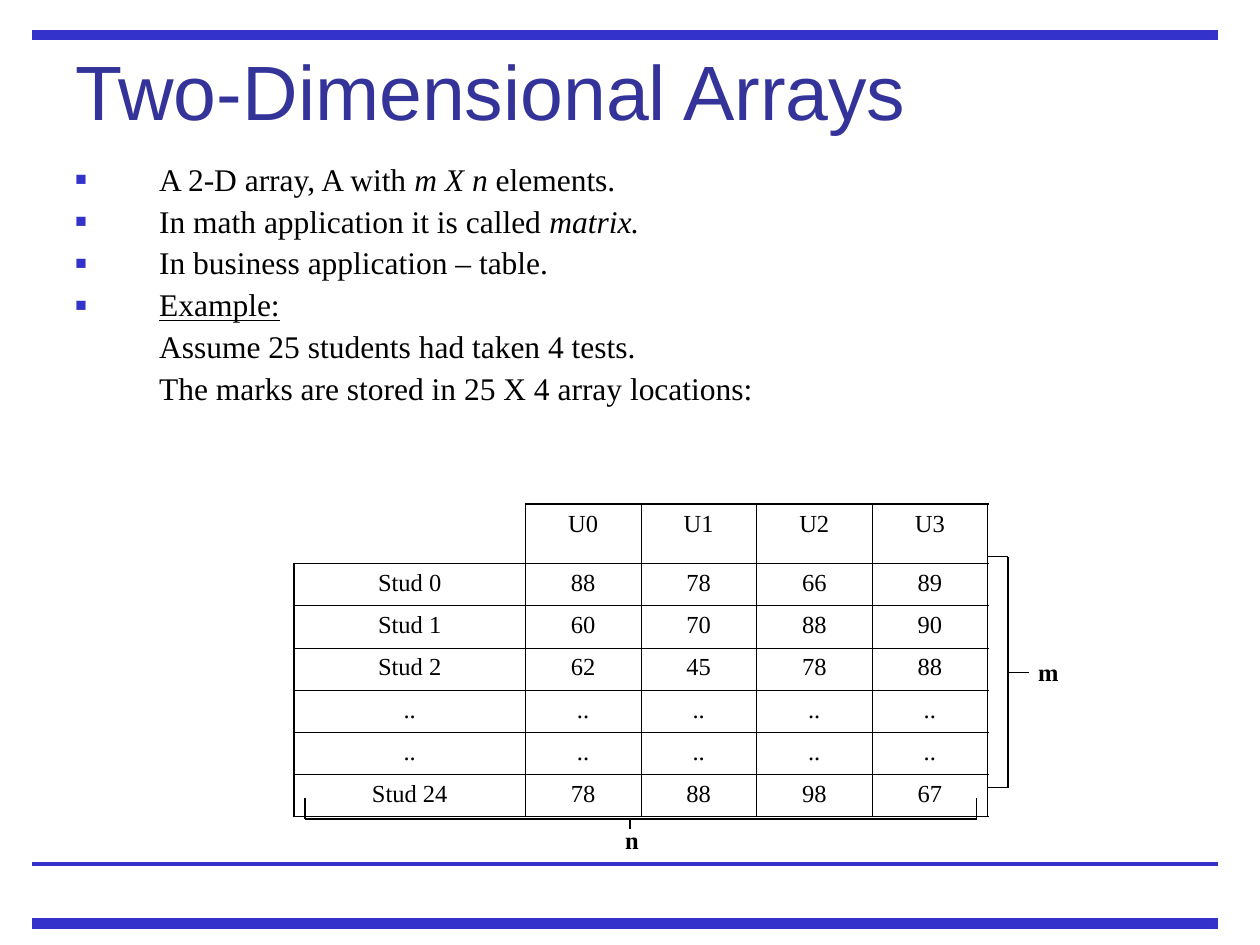
"""Build the "Two-Dimensional Arrays" slide with its table of marks."""
import pptx
import pptx.dml.color
import pptx.enum.shapes
import pptx.enum.text
import pptx.oxml
import pptx.oxml.ns
import pptx.util
from pptx.util import Cm

THEME = {
    "rule": "3333CC", "title": "333399", "ink": "000000",
    "heading_font": "Arial", "body_font": "Times New Roman",
    "title_size": 44, "body_size": 18, "label_size": 14,
    "heavy": 6, "medium": 2.25, "fine": 0.75, "cell": 0.45, "frame": 1.08,
}
ALIGN = pptx.enum.text.PP_ALIGN

TITLE = "Two-Dimensional Arrays"
BULLETS = [
    [("A 2-D array, A with ", ""), ("m X n", "italic"), (" elements.", "")],
    [("In math application it is called ", ""), ("matrix.", "italic")],
    [("In business application – table.", "")],
    [("Example:", "underline")],
]
EXAMPLE = [
    [("Assume 25 students had taken 4 tests.", "")],
    [("The marks are stored in 25 X 4 array locations:", "")],
]
MARKS = [
    ["", "U0", "U1", "U2", "U3"],
    ["Stud 0", "88", "78", "66", "89"],
    ["Stud 1", "60", "70", "88", "90"],
    ["Stud 2", "62", "45", "78", "88"],
    ["..", "..", "..", "..", ".."],
    ["..", "..", "..", "..", ".."],
    ["Stud 24", "78", "88", "98", "67"],
]
LABELS = [("n", 12.34, 16.51, 0.79), ("m", 20.68, 13.13, 0.91)]
RULES = [(18.62, "heavy"), (17.42, "medium"), (0.71, "heavy")]
BRACKETS = [
    (6.15, 16.08, 6.15, 16.51), (19.69, 16.08, 19.69, 16.51),
    (6.15, 16.51, 19.69, 16.51), (12.7, 16.51, 12.7, 16.72),
    (19.9, 11.22, 20.32, 11.22), (19.9, 15.88, 20.32, 15.88),
    (20.32, 11.22, 20.32, 15.88), (20.32, 13.55, 20.74, 13.55),
]


def write(frame, lines, font="body_font", size="body_size", color="ink",
          align=ALIGN.LEFT, bold=False, spacing=None, before=0):
    """Fill a text frame with lines of (text, style) spans and return its paragraphs."""
    for index, line in enumerate(lines):
        para = frame.add_paragraph() if index else frame.paragraphs[0]
        para.alignment = align
        if spacing:
            para.line_spacing = spacing
        if index and before:
            para.space_before = pptx.util.Pt(before)
        for text, style in line:
            span = para.add_run()
            span.text = text
            span.font.name = THEME[font]
            span.font.size = pptx.util.Pt(THEME[size])
            span.font.color.rgb = pptx.dml.color.RGBColor.from_string(THEME[color])
            span.font.bold = bold
            span.font.italic = style == "italic"
            span.font.underline = style == "underline"
    return frame.paragraphs


def add_xml(parent, xml, index=None):
    """Put a DrawingML element into a parent, at the end unless an index is given."""
    head, tail = xml.split(" ", 1)
    element = pptx.oxml.parse_xml(f"{head} {pptx.oxml.ns.nsdecls('a')} {tail}")
    parent.insert(len(parent) if index is None else index, element)


def draw_line(slide, ends, color, width):
    """Draw a straight line between two points given in centimetres."""
    line = slide.shapes.add_connector(
        pptx.enum.shapes.MSO_CONNECTOR.STRAIGHT, *map(Cm, ends))
    line.line.color.rgb = pptx.dml.color.RGBColor.from_string(THEME[color])
    line.line.width = pptx.util.Pt(THEME[width])
    add_xml(line._element.spPr, "<a:effectLst />")


def add_title(slide):
    """Place and format the title placeholder."""
    title = slide.shapes.title
    title.left, title.top, title.width, title.height = map(Cm, (1.27, 0.76, 22.86, 3.18))
    frame = title.text_frame
    frame.vertical_anchor = pptx.enum.text.MSO_ANCHOR.TOP
    frame.auto_size = pptx.enum.text.MSO_AUTO_SIZE.NONE
    write(frame, [[(TITLE, "")]], font="heading_font", size="title_size", color="title")


def add_body(slide):
    """Add the bulleted points followed by the plain example lines."""
    box = slide.shapes.add_textbox(*map(Cm, (1.27, 3.18, 22.86, 7.42)))
    box.text_frame.word_wrap = True
    paras = write(box.text_frame, BULLETS + EXAMPLE, align=ALIGN.JUSTIFY,
                  spacing=0.9, before=4.5)
    for index, para in enumerate(paras):
        properties = para._p.get_or_add_pPr()
        properties.set("marL", str(Cm(1.69)))
        if index < len(BULLETS):
            properties.set("indent", str(-Cm(1.69)))
            add_xml(properties, f'<a:buClr ><a:srgbClr val="{THEME["rule"]}"/></a:buClr>')
            add_xml(properties, '<a:buSzPct val="60000"/>')
            add_xml(properties, f'<a:buFont typeface="{THEME["body_font"]}"/>')
            add_xml(properties, '<a:buChar char="■"/>')
        else:
            properties.set("indent", "0")
            add_xml(properties, "<a:buNone />")


def set_borders(cell, widths):
    """Draw the left, right, top and bottom borders; a width of None hides one."""
    for index, (side, width) in enumerate(zip("LRTB", widths)):
        if width is None:
            xml = f'<a:ln{side} w="0"><a:noFill/></a:ln{side}>'
        else:
            xml = (f'<a:ln{side} w="{pptx.util.Pt(THEME[width])}"><a:solidFill>'
                   f'<a:srgbClr val="{THEME["ink"]}"/></a:solidFill></a:ln{side}>')
        add_xml(cell._tc.get_or_add_tcPr(), xml, index)


def add_marks(slide):
    """Add the table, whose student names each span two columns."""
    rows, columns = len(MARKS), len(MARKS[0]) + 1
    heights = [1.2] + [0.85] * (rows - 1)
    table = slide.shapes.add_table(
        rows, columns, Cm(5.93), Cm(10.16), Cm(2.33 * columns), Cm(sum(heights))).table
    table.first_row = table.horz_banding = False
    for column in table.columns:
        column.width = Cm(2.33)
    for row, (values, height) in enumerate(zip(MARKS, heights)):
        table.rows[row].height = Cm(height)
        for column in range(columns):
            cell = table.cell(row, column)
            cell.fill.background()
            corner = row == 0 and column < 2
            set_borders(cell, (
                None if corner or column == 1 else "cell" if column else "frame",
                None if corner and column == 0 else
                "frame" if column == columns - 1 else "cell",
                None if corner else "cell" if row else "frame",
                "frame" if row == rows - 1 else "cell"))
        if row:
            table.cell(row, 0).merge(table.cell(row, 1))
        for index, value in enumerate(values):
            if value:
                cell = table.cell(row, index + 1 if index else 0)
                write(cell.text_frame, [[(value, "")]], size="label_size",
                      align=ALIGN.CENTER)


def add_label(slide, text, left, top, width):
    """Add a bold dimension label beside its bracket."""
    box = slide.shapes.add_textbox(Cm(left), Cm(top), Cm(width), Cm(0.86))
    box.text_frame.word_wrap = False
    box.text_frame.auto_size = pptx.enum.text.MSO_AUTO_SIZE.SHAPE_TO_FIT_TEXT
    write(box.text_frame, [[(text, "")]], size="label_size", align=ALIGN.RIGHT, bold=True)


def main():
    """Assemble the slide and save it."""
    deck = pptx.Presentation()
    deck.slide_width, deck.slide_height = Cm(25.4), Cm(19.05)
    slide = deck.slides.add_slide(deck.slide_layouts.get_by_name("Title Only"))
    for height, width in RULES:
        draw_line(slide, (0.64, height, 24.56, height), "rule", width)
    add_title(slide)
    add_body(slide)
    add_marks(slide)
    for ends in BRACKETS:
        draw_line(slide, ends, "ink", "fine")
    for label in LABELS:
        add_label(slide, *label)
    deck.save("out.pptx")


if __name__ == "__main__":
    main()
